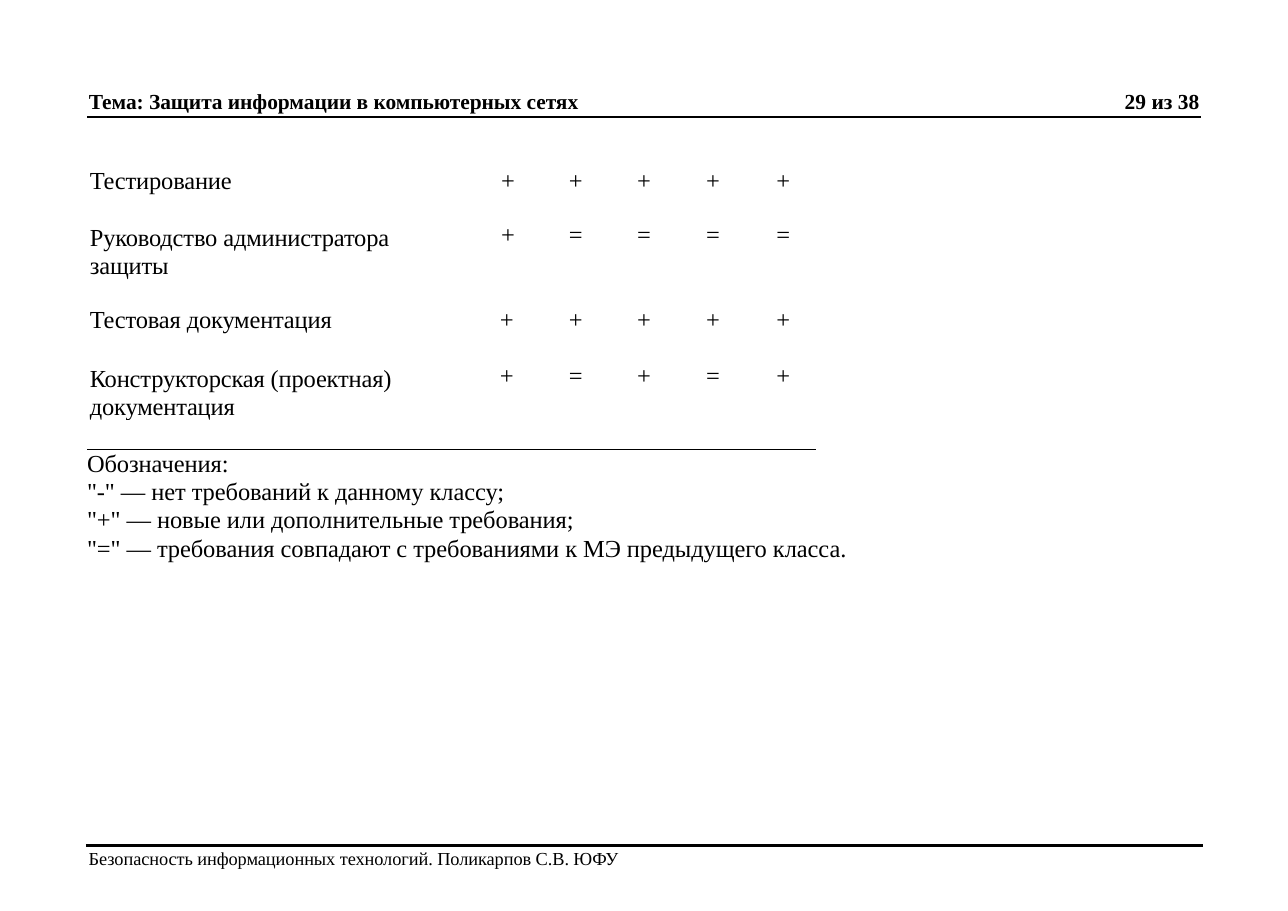
import pptx
import pptx.dml.color
import pptx.enum.shapes
import pptx.enum.text
import pptx.oxml.ns
import pptx.util

Pt = pptx.util.Pt
Align = pptx.enum.text.PP_ALIGN
FONT = "Times New Roman"
INK = "000000"
ROWS = [
    ("Тестирование", "+++++", 27.4, 0, 0),
    ("Руководство администратора защиты", "+====", 55.4, 8.4, 6.7),
    ("Тестовая документация", "+++++", 36.7, 7.1, 7.1),
    ("Конструкторская (проектная) документация", "+=+=+", 45.4, 8.4, 6.7),
]
COLS = [236.2, 61.2, 44.64, 44.64, 44.64, 29.5]
SIDES = [Align.LEFT, Align.RIGHT, Align.CENTER, Align.LEFT, Align.CENTER, Align.RIGHT]
LEFTS = [2.5, 0, 0.6, 18.2, 1.6, 0]
RIGHTS = [0, 17.2, 0, 0, 0, 0.6]
LEGEND = [
    "Обозначения:",
    '"-" — нет требований к данному классу;',
    '"+" — новые или дополнительные требования;',
    '"=" — требования совпадают с требованиями к МЭ предыдущего класса.',
]


def color(code):
    """Turn a hex string into a colour."""
    return pptx.dml.color.RGBColor.from_string(code)


def style(par, size, bold=False, side=Align.LEFT, lead=None, slant=False, track=0):
    """Format one paragraph."""
    par.alignment = side
    par.space_before = Pt(0)
    if lead:
        par.line_spacing = Pt(lead)
    font = par.font
    font.name, font.size, font.bold, font.italic = FONT, Pt(size), bold, slant
    font.color.rgb = color(INK)
    for run in par.runs:
        run.font._element.set("spc", str(track))


def fill(shape, lines, size, top=1, bold=False, lead=None, track=-5):
    """Write lines of text into a shape with narrow margins."""
    frame = shape.text_frame
    frame.text = "\n".join(lines)
    frame.word_wrap = True
    frame.auto_size = pptx.enum.text.MSO_AUTO_SIZE.NONE
    frame.vertical_anchor = pptx.enum.text.MSO_ANCHOR.TOP
    frame.margin_left, frame.margin_top = Pt(1), Pt(top)
    frame.margin_right = frame.margin_bottom = Pt(0)
    for par in frame.paragraphs:
        style(par, size, bold, lead=lead, track=track)


def label(slide, box, lines, size, **look):
    """Add a text box."""
    shape = slide.shapes.add_textbox(*map(Pt, box))
    fill(shape, lines, size, **look)


def head(slide, box, text):
    """Place and format the title."""
    title = slide.shapes.title
    title.left, title.top, title.width, title.height = map(Pt, box)
    fill(title, [text], 14, bold=True, track=-7)


def rule(slide, left, right, top, width):
    """Draw a horizontal line."""
    line = slide.shapes.add_connector(
        pptx.enum.shapes.MSO_CONNECTOR.STRAIGHT, Pt(left), Pt(top), Pt(right), Pt(top))
    line.line.color.rgb = color(INK)
    line.line.width = Pt(width)
    props = line._element.spPr
    props.append(props.makeelement(pptx.oxml.ns.qn("a:effectLst"), {}))


def border(slide, left, top):
    """Close the table with one line under each column."""
    for width in [252] + [44.92] * 5:
        rule(slide, left, left + width, top, 0.8)
        left += width


def grid(slide, left, top):
    """Add the table of requirements by class."""
    tall = sum(row[2] for row in ROWS)
    table = slide.shapes.add_table(
        len(ROWS), len(COLS), Pt(left), Pt(top), Pt(sum(COLS)), Pt(tall)).table
    table.first_row = table.horz_banding = False
    for col, width in zip(table.columns, COLS):
        col.width = Pt(width)
    for r, (name, signs, height, gap, drop) in enumerate(ROWS):
        table.rows[r].height = Pt(height)
        for c, text in enumerate([name, *signs]):
            cell = table.cell(r, c)
            cell.fill.background()
            cell.margin_left, cell.margin_right = Pt(LEFTS[c]), Pt(RIGHTS[c])
            cell.margin_top, cell.margin_bottom = Pt(drop if c else gap), Pt(0)
            cell.text = text
            style(cell.text_frame.paragraphs[0], 16, side=SIDES[c],
                  lead=18.4 if r else 17.4, slant=c == 1 and r > 1,
                  track=0 if c else -8)


def main():
    """Build and save the slide."""
    deck = pptx.Presentation()
    deck.slide_width, deck.slide_height = Pt(841.68), Pt(595.44)
    slide = deck.slides.add_slide(deck.slide_layouts[5])
    head(slide, (57, 56.8, 330, 18.7), "Тема: Защита информации в компьютерных сетях")
    label(slide, (734, 56.8, 54, 18.7), ["29 из 38"], 14, bold=True, track=0)
    rule(slide, 56.9, 784.8, 76.2, 1.25)
    grid(slide, 56.2, 110.2)
    border(slide, 56.9, 293.8)
    label(slide, (55.9, 292.3, 510, 76.3), LEGEND, 16, lead=18.5, track=-2)
    rule(slide, 56.2, 786.2, 552.4, 1.9)
    label(slide, (57, 553.9, 360, 15.1),
          ["Безопасность информационных технологий. Поликарпов С.В. ЮФУ"],
          12, top=0, lead=14.1)
    deck.save("out.pptx")


if __name__ == "__main__":
    main()
